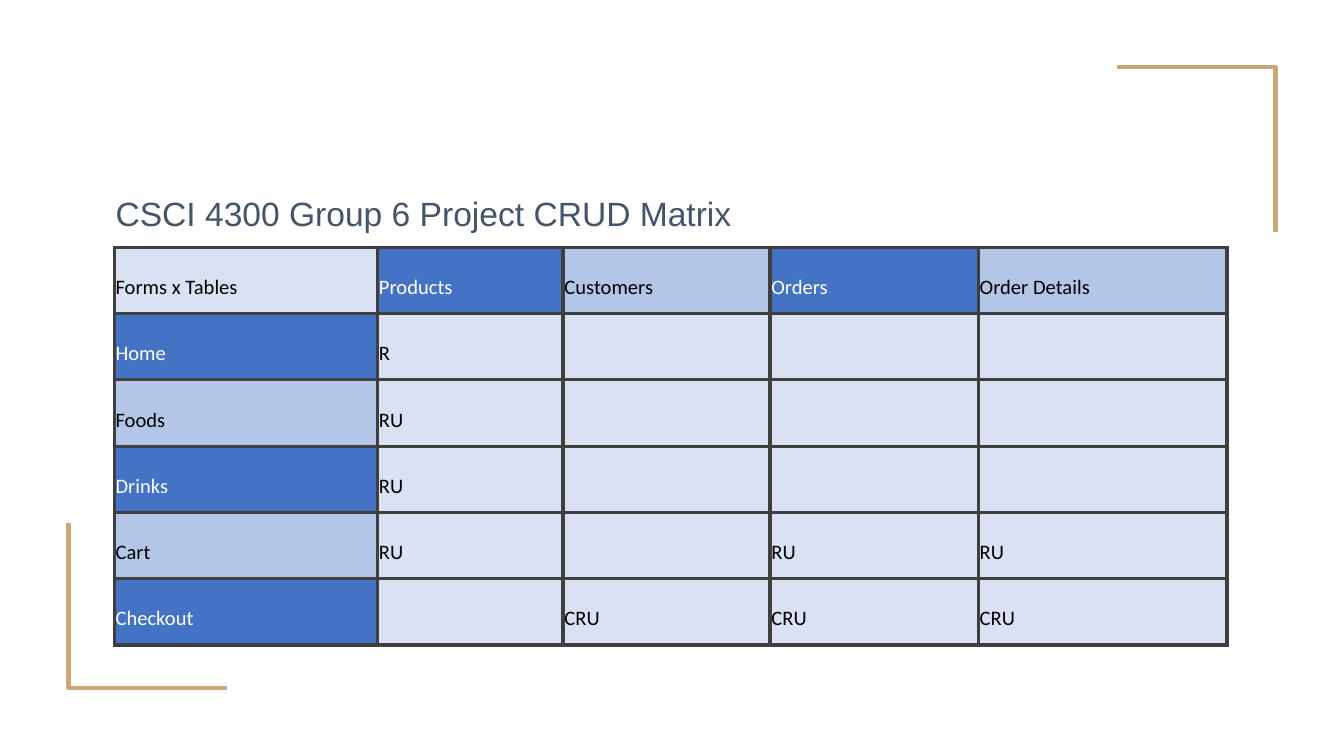
from lxml.etree import SubElement
from pptx import Presentation
from pptx.dml.color import RGBColor
from pptx.enum.text import MSO_ANCHOR
from pptx.oxml.ns import qn
from pptx.util import Inches, Pt

TITLE = "CSCI 4300 Group 6 Project CRUD Matrix"
MATRIX = [
    ["Forms x Tables", "Products", "Customers", "Orders", "Order Details"],
    ["Home", "R", "", "", ""],
    ["Foods", "RU", "", "", ""],
    ["Drinks", "RU", "", "", ""],
    ["Cart", "RU", "", "RU", "RU"],
    ["Checkout", "", "CRU", "CRU", "CRU"],
]
COLUMN_WIDTHS = [1.96, 1.38, 1.54, 1.55, 1.85]
TITLE_HEIGHT, MATRIX_HEIGHT = 1.19, 2.96
TABLE_LEFT, TABLE_TOP = 0.85, 0.65
CORNERS = [
    [(9.49, 1.73), (9.49, 0.5), (8.31, 0.5)],
    [(0.51, 3.89), (0.51, 5.12), (1.69, 5.12)],
]
GOLD, BORDER, SLATE = "CCA677", "3F3F3F", "44546A"
PALE, LIGHT, BLUE = "D9E1F2", "B4C6E7", "4472C4"
BLACK, WHITE = "000000", "FFFFFF"


def color(value):
    return RGBColor.from_string(value)


def add_corner(slide, points):
    start, *rest = [(Inches(x), Inches(y)) for x, y in points]
    builder = slide.shapes.build_freeform(*start, scale=1.0)
    builder.add_line_segments(rest, close=False)
    corner = builder.convert_to_shape()
    corner.shadow.inherit = False
    corner.fill.background()
    corner.line.color.rgb = color(GOLD)
    corner.line.width = Pt(2.25)


def add_borders(cell, sides):
    properties = cell._tc.get_or_add_tcPr()
    for side in sides:
        line = SubElement(properties, qn(f"a:ln{side}"), w=str(Pt(2)))
        fill = SubElement(line, qn("a:solidFill"))
        SubElement(fill, qn("a:srgbClr"), val=BORDER)


def write_cell(cell, text, font_name, size, text_color):
    cell.vertical_anchor = MSO_ANCHOR.BOTTOM
    cell.margin_left = cell.margin_right = cell.margin_top = Inches(0.01)
    cell.margin_bottom = Inches(0.1)
    paragraph = cell.text_frame.paragraphs[0]
    if not text:
        paragraph.font.size = Pt(size)
        return
    run = paragraph.add_run()
    run.text = text
    run.font.name = font_name
    run.font.size = Pt(size)
    run.font.color.rgb = color(text_color)


def cell_fill(row, column):
    if (row == 0) == (column == 0):
        return PALE
    return BLUE if (row + column) % 2 else LIGHT


def add_matrix(slide):
    heights = [TITLE_HEIGHT] + [MATRIX_HEIGHT / len(MATRIX)] * len(MATRIX)
    table = slide.shapes.add_table(
        len(heights), len(COLUMN_WIDTHS), Inches(TABLE_LEFT), Inches(TABLE_TOP),
        Inches(sum(COLUMN_WIDTHS)), Inches(sum(heights))).table
    table.first_row = table.horz_banding = False
    for column, width in zip(table.columns, COLUMN_WIDTHS):
        column.width = Inches(width)
    for row, height in zip(table.rows, heights):
        row.height = Inches(height)

    for cell in table.rows[0].cells:
        add_borders(cell, "B")
        cell.fill.background()
    table.cell(0, 0).merge(table.cell(0, 3))
    write_cell(table.cell(0, 0), TITLE, "Arial", 18, SLATE)

    for row, texts in enumerate(MATRIX):
        for column, text in enumerate(texts):
            cell = table.cell(row + 1, column)
            fill = cell_fill(row, column)
            add_borders(cell, "LRTB")
            cell.fill.solid()
            cell.fill.fore_color.rgb = color(fill)
            write_cell(cell, text, "Calibri", 11, WHITE if fill == BLUE else BLACK)


def main():
    presentation = Presentation()
    presentation.slide_width = Inches(10)
    presentation.slide_height = presentation.slide_width * 9 // 16
    slide = presentation.slides.add_slide(presentation.slide_layouts[6])
    for points in CORNERS:
        add_corner(slide, points)
    add_matrix(slide)
    presentation.save("out.pptx")


if __name__ == "__main__":
    main()
